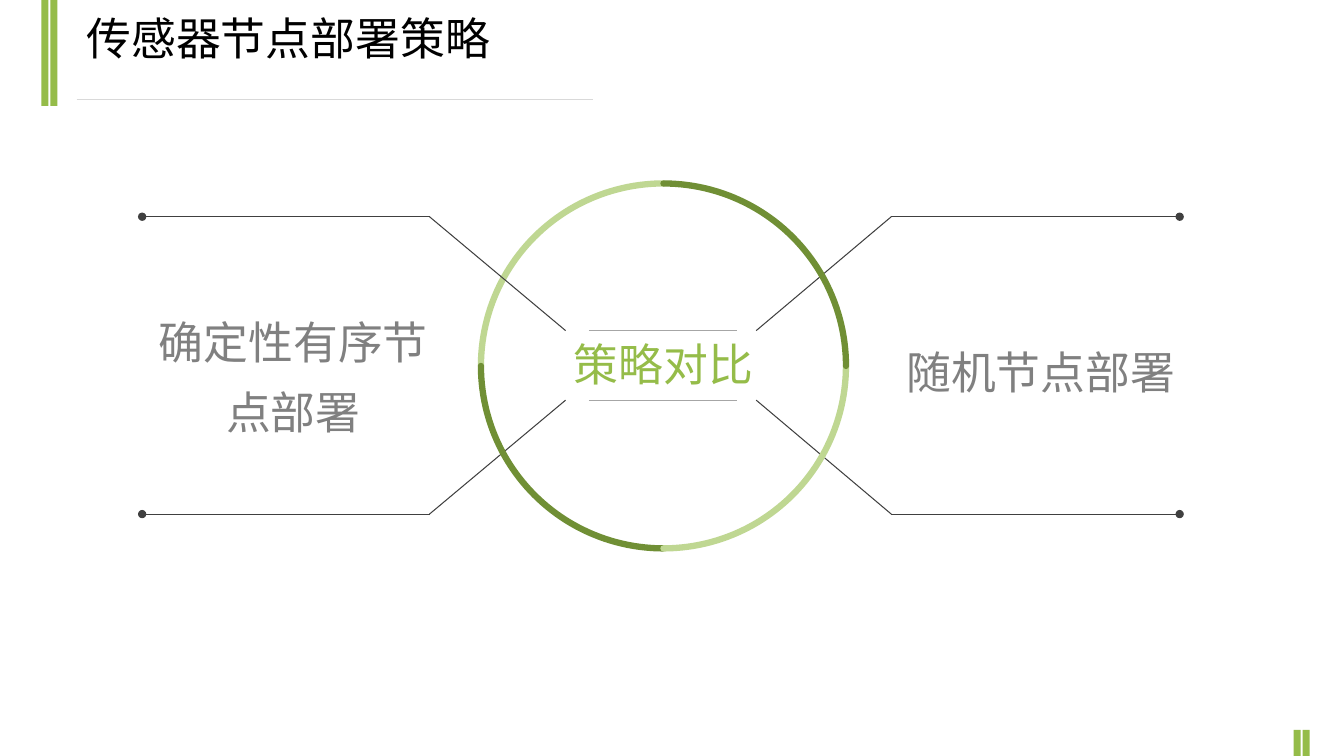
from dataclasses import dataclass

from lxml.etree import SubElement
from pptx import Presentation
from pptx.dml.color import RGBColor as Rgb
from pptx.enum.shapes import MSO_CONNECTOR as Link, MSO_SHAPE as Preset
from pptx.enum.text import PP_ALIGN as Align
from pptx.oxml.ns import qn
from pptx.util import Emu, Pt

PX = 9144


@dataclass(frozen=True)
class Theme:
    green: str = "95BC49"
    dark_green: str = "708F35"
    pale_green: str = "BFD792"
    title: str = "000000"
    body: str = "808080"
    leader: str = "404040"
    rule: str = "A6A6A6"
    title_rule: str = "D9D9D9"
    title_font: str = "Roboto Condensed"
    body_font: str = "Arial"
    size: int = 32
    thin: float = 0.75
    thick: float = 4.5


THEME = Theme()


def px(*lengths):
    return [Emu(length * PX) for length in lengths]


def add_bar(slide, left, top, height):
    bar = slide.shapes.add_shape(Preset.RECTANGLE, *px(left, top, 7, height))
    bar.shadow.inherit = False
    bar.fill.solid()
    bar.fill.fore_color.rgb = Rgb.from_string(THEME.green)
    bar.line.fill.background()


def add_line(slide, start, end, color, dot=False):
    line = slide.shapes.add_connector(Link.STRAIGHT, *px(*start, *end))
    line.line.color.rgb = Rgb.from_string(color)
    line.line.width = Pt(THEME.thin)
    if dot:
        SubElement(line.line._get_or_add_ln(), qn("a:headEnd"), type="oval")
    SubElement(line._element.spPr, qn("a:effectLst"))


def add_quarter(slide, rotation, color):
    quarter = slide.shapes.add_shape(Preset.ARC, *px(477, 182, 362, 362))
    quarter.shadow.inherit = False
    quarter.adjustments[0] = 108
    quarter.adjustments[1] = 162
    quarter.rotation = rotation
    quarter.fill.background()
    quarter.line.color.rgb = Rgb.from_string(color)
    quarter.line.width = Pt(THEME.thick)
    quarter.line._get_or_add_ln().set("cap", "rnd")


def add_text(slide, text, box, *, color, font=THEME.body_font,
             align=Align.LEFT, spacing=1.0, wrap=True):
    frame = slide.shapes.add_textbox(*px(*box)).text_frame
    frame.word_wrap = wrap
    frame.text = text
    paragraph = frame.paragraphs[0]
    paragraph.alignment = align
    paragraph.line_spacing = spacing
    paragraph.font.name = font
    paragraph.font.size = Pt(THEME.size)
    paragraph.font.color.rgb = Rgb.from_string(color)


def add_leader(slide, outer, elbow, inner, outer_y, inner_y):
    add_line(slide, (outer, outer_y), (elbow, outer_y), THEME.leader, dot=True)
    add_line(slide, (elbow, outer_y), (inner, inner_y), THEME.leader)


def main():
    deck = Presentation()
    deck.slide_width, deck.slide_height = px(1333, 750)
    slide = deck.slides.add_slide(deck.slide_layouts[6])

    for left, top, height in ((41, 0, 105), (1283, 724, 26)):
        for offset in (0, 9):
            add_bar(slide, left + offset, top, height)
    add_line(slide, (76, 99), (588, 99), THEME.title_rule)
    add_text(slide, "传感器节点部署策略", (76, 6, 867, 64),
             color=THEME.title, font=THEME.title_font)

    add_quarter(slide, 0, THEME.pale_green)
    for rule_y in (328, 397):
        add_line(slide, (584, rule_y), (731, rule_y), THEME.rule)
    for outer, elbow, inner in ((141, 426, 561), (1170, 884, 750)):
        for outer_y, inner_y in ((215, 328), (510, 397)):
            add_leader(slide, outer, elbow, inner, outer_y, inner_y)

    add_text(slide, "确定性有序节\v点部署", (121, 291, 340, 143),
             color=THEME.body, align=Align.CENTER, spacing=1.3)
    add_text(slide, "随机节点部署", (889, 321, 304, 80),
             color=THEME.body, spacing=1.3)
    add_text(slide, "策略对比", (558, 329, 200, 64),
             color=THEME.green, align=Align.CENTER, wrap=False)

    for rotation, color in ((270, THEME.dark_green), (180, THEME.pale_green),
                            (90, THEME.dark_green)):
        add_quarter(slide, rotation, color)

    deck.save("out.pptx")


if __name__ == "__main__":
    main()
